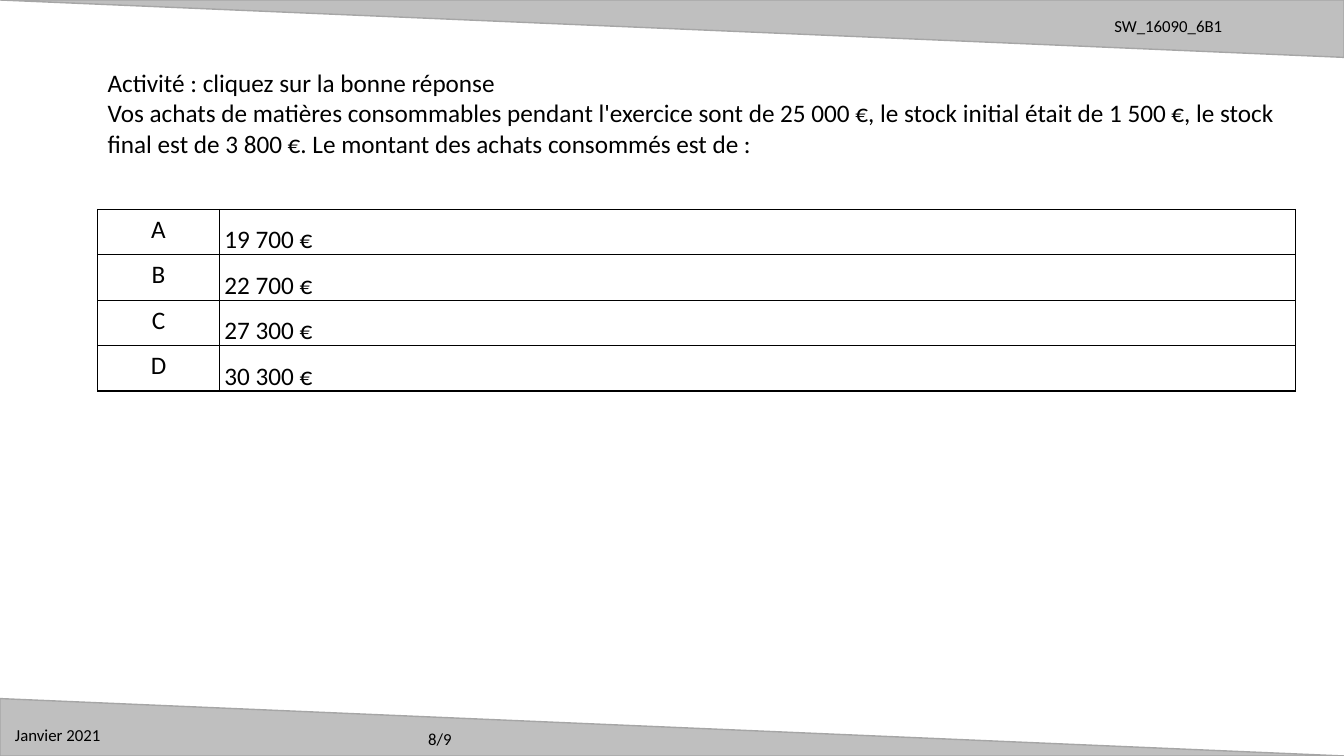
from lxml import etree
from pptx import Presentation
from pptx.dml.color import RGBColor
from pptx.enum.shapes import MSO_SHAPE
from pptx.enum.text import MSO_ANCHOR, PP_ALIGN
from pptx.oxml.ns import qn
from pptx.util import Pt

TRIANGLE = MSO_SHAPE.ISOSCELES_TRIANGLE
CENTER = PP_ALIGN.CENTER
BOTTOM = MSO_ANCHOR.BOTTOM
WIDTH, HEIGHT = 960, 540
BAND_HEIGHT = 41


def color(hex_code):
    return RGBColor.from_string(hex_code)


def add_run(paragraph, text, size):
    run = paragraph.add_run()
    run.text = text
    run.font.size = Pt(size)
    run.font.name = "Calibri"
    run.font.color.rgb = color("000000")


prs = Presentation()
prs.slide_width, prs.slide_height = Pt(WIDTH), Pt(HEIGHT)
slide = prs.slides.add_slide(prs.slide_layouts[6])

# Grey wedges along the top and bottom edges
for top, rotation in [(0, 180), (HEIGHT - BAND_HEIGHT, 0)]:
    wedge = slide.shapes.add_shape(TRIANGLE, 0, Pt(top), Pt(WIDTH), Pt(BAND_HEIGHT))
    wedge.adjustments[0] = 0
    wedge.rotation = rotation
    wedge.shadow.inherit = False
    wedge.fill.solid()
    wedge.fill.fore_color.rgb = color("BFBFBF")
    wedge.line.color.rgb = color("A6A6A6")
    wedge.line.width = Pt(1)

# Page number
page_number = slide.shapes.add_textbox(Pt(296), Pt(502.6), Pt(243.4), Pt(36)).text_frame
page_number.word_wrap = True
page_number.vertical_anchor = BOTTOM
page_number.margin_left = Pt(9.8)
add_run(page_number.paragraphs[0], "8/9", 12)

# Course code, date and question
question = ("Vos achats de matières consommables pendant l'exercice sont de 25 000 €, "
            "le stock initial était de 1 500 €, le stock final est de 3 800 €. "
            "Le montant des achats consommés est de :")
texts = [
    ((784.8, 1.4, 172, 28.8), [[(" ", 18), ("SW_16090_6B1", 12)]]),
    ((3.6, 514, 99.4, 21.6), [[("Janvier 2021", 12)]]),
    ((69.8, 44.6, 860.4, 72.7),
     [[("Activité : cliquez sur la bonne réponse", 18)], [(question, 18)]]),
]
for box, paragraphs in texts:
    frame = slide.shapes.add_textbox(*map(Pt, box)).text_frame
    frame.word_wrap = True
    for index, runs in enumerate(paragraphs):
        paragraph = frame.add_paragraph() if index else frame.paragraphs[0]
        for text, size in runs:
            add_run(paragraph, text, size)

# Answer table
answers = [("A", "19 700 €"), ("B", "22 700 €"), ("C", "27 300 €"), ("D", "30 300 €")]
column_widths = [86.9, 768.6]
row_height = 32.4
table = slide.shapes.add_table(
    len(answers), 2, Pt(69.8), Pt(149.6),
    Pt(sum(column_widths)), Pt(row_height * len(answers))).table
table.first_row = table.horz_banding = False
for column, width in zip(table.columns, column_widths):
    column.width = Pt(width)

for row, answer in enumerate(answers):
    table.rows[row].height = Pt(row_height)
    for column, text in enumerate(answer):
        cell = table.cell(row, column)
        paragraph = cell.text_frame.paragraphs[0]
        add_run(paragraph, text, 18)
        if column == 0:
            paragraph.alignment = CENTER
        else:
            cell.margin_left = cell.margin_right = Pt(3.6)
            cell.margin_top = cell.margin_bottom = 0
            paragraph.line_spacing = 1.5
            paragraph.space_before = paragraph.space_after = Pt(6)
        # Borders come before the fill in the cell properties
        properties = cell._tc.get_or_add_tcPr()
        for side in ("a:lnL", "a:lnR", "a:lnT", "a:lnB"):
            border = etree.SubElement(properties, qn(side), w=str(Pt(1)))
            border_fill = etree.SubElement(border, qn("a:solidFill"))
            etree.SubElement(border_fill, qn("a:srgbClr"), val="000000")
        cell.fill.solid()
        cell.fill.fore_color.rgb = color("FFFFFF")

prs.save("out.pptx")
